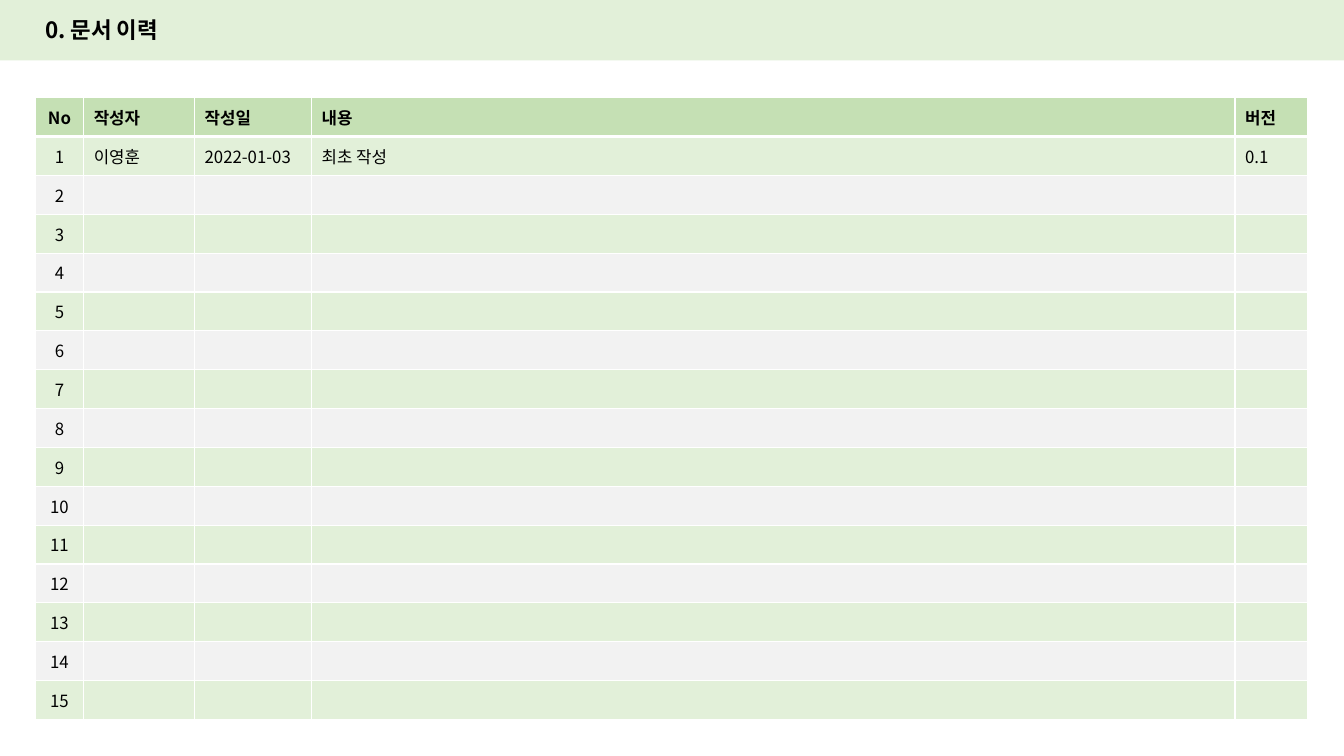
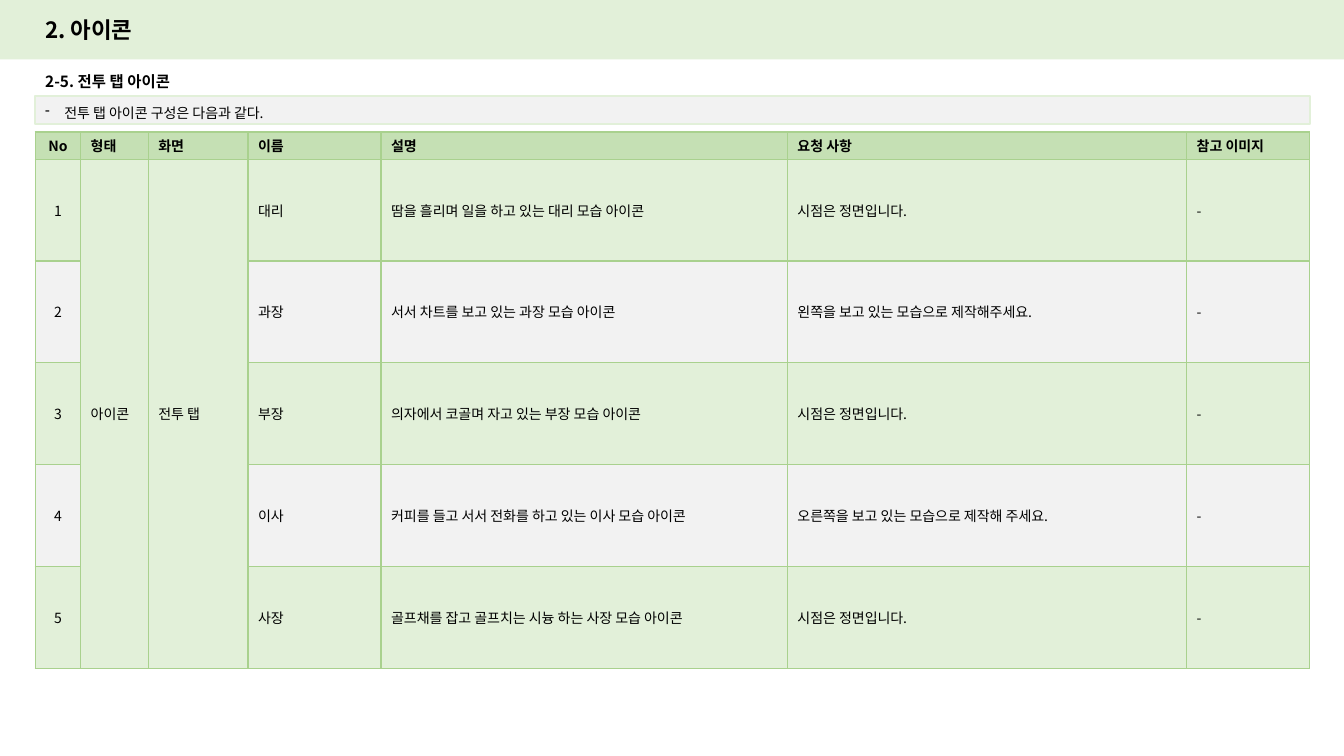
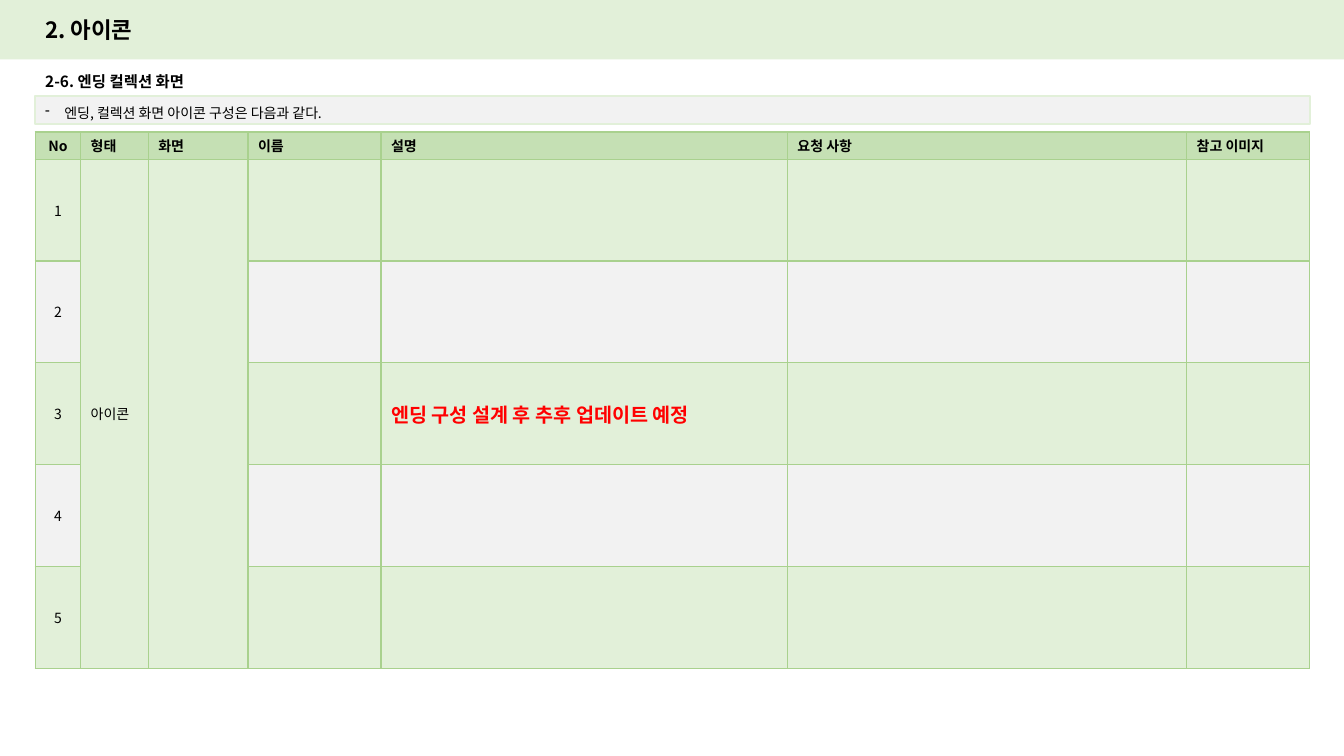
from lxml.etree import SubElement
from pptx import Presentation
from pptx.dml.color import RGBColor
from pptx.enum.shapes import MSO_SHAPE
from pptx.enum.text import MSO_ANCHOR, PP_ALIGN
from pptx.oxml.ns import qn
from pptx.util import Inches, Pt

FONT = "Noto Sans CJK KR"
BLACK, RED, WHITE = "000000", "FF0000", "FFFFFF"
PALE_GREEN, HEADER_GREEN, LINE_GREEN = "E2F0D9", "C5E0B4", "A9D18E"
GRAY = "F2F2F2"
LEFT = 0.35

HISTORY = {
    "title": "0. 문서 이력",
    "header": ["No", "작성자", "작성일", "내용", "버전"],
    "widths": [0.48, 1.1, 1.16, 9.16, 0.72],
    "rows": [["이영훈", "2022-01-03", "최초 작성", "0.1"]] + [[""] * 4] * 14,
}

ICON_HEADER = ["No", "형태", "화면", "이름", "설명", "요청 사항", "참고 이미지"]
ICON_WIDTHS = [0.45, 0.67, 0.99, 1.32, 4.03, 3.96, 1.22]
FRONT_VIEW = "시점은 정면입니다."
PENDING = "엔딩 구성 설계 후 추후 업데이트 예정"
ICON_SECTIONS = [
    {
        "title": "2. 아이콘",
        "subtitle": "2-5. 전투 탭 아이콘",
        "summary": "전투 탭 아이콘 구성은 다음과 같다.",
        "groups": ["아이콘", "전투 탭"],
        "icons": [
            ["대리", "땀을 흘리며 일을 하고 있는 대리 모습 아이콘", FRONT_VIEW, "-"],
            ["과장", "서서 차트를 보고 있는 과장 모습 아이콘",
             "왼쪽을 보고 있는 모습으로 제작해주세요.", "-"],
            ["부장", "의자에서 코골며 자고 있는 부장 모습 아이콘", FRONT_VIEW, "-"],
            ["이사", "커피를 들고 서서 전화를 하고 있는 이사 모습 아이콘",
             "오른쪽을 보고 있는 모습으로 제작해 주세요.", "-"],
            ["사장", "골프채를 잡고 골프치는 시늉 하는 사장 모습 아이콘", FRONT_VIEW, "-"],
        ],
    },
    {
        "title": "2. 아이콘",
        "subtitle": "2-6. 엔딩 컬렉션 화면",
        "summary": "엔딩, 컬렉션 화면 아이콘 구성은 다음과 같다.",
        "groups": ["아이콘", ""],
        "icons": [["", PENDING if number == 3 else "", "", ""] for number in range(1, 6)],
    },
]


def rgb(color):
    return RGBColor.from_string(color)


def add_text(paragraph, text, size, bold=False, color=BLACK):
    """Add one run; an empty text only sets the height of its line."""
    if not text:
        SubElement(paragraph._p, qn("a:endParaRPr"), sz=str(size * 100))
        return
    run = paragraph.add_run()
    run.text = text
    run.font.size = Pt(size)
    run.font.bold = bold
    run.font.name = FONT
    run.font.color.rgb = rgb(color)
    SubElement(run._r.get_or_add_rPr(), qn("a:ea"), typeface=FONT)


def add_box(slide, left, top, width, height, fill, line=None):
    box = slide.shapes.add_shape(MSO_SHAPE.RECTANGLE, Inches(left), Inches(top),
                                 Inches(width), Inches(height))
    box.shadow.inherit = False
    box.fill.solid()
    box.fill.fore_color.rgb = rgb(fill)
    if line:
        box.line.color.rgb = rgb(line)
        box.line.width = Pt(1.5)
    else:
        box.line.fill.background()
    return box


def add_heading(slide, top, height, text, size):
    heading = slide.shapes.add_textbox(Inches(LEFT), Inches(top), Inches(2.11), Inches(height))
    frame = heading.text_frame
    frame.word_wrap = True
    frame.vertical_anchor = MSO_ANCHOR.MIDDLE
    add_text(frame.paragraphs[0], text, size, bold=True)


def add_titled_slide(deck, title, band_height):
    slide = deck.slides.add_slide(deck.slide_layouts[6])
    add_box(slide, 0, 0, 13.33, band_height, PALE_GREEN)
    add_heading(slide, 0.11, 0.37, title, 16)
    return slide


def add_summary(slide, text):
    frame = add_box(slide, LEFT, 0.95, 12.64, 0.28, GRAY, PALE_GREEN).text_frame
    frame.word_wrap = True
    frame.vertical_anchor = MSO_ANCHOR.TOP
    paragraph = frame.paragraphs[0]
    paragraph.alignment = PP_ALIGN.LEFT
    paragraph.line_spacing = 1.2
    properties = paragraph._p.get_or_add_pPr()
    properties.set("marL", str(Inches(0.19)))
    properties.set("indent", str(Inches(-0.19)))
    SubElement(properties, qn("a:buFontTx"))
    SubElement(properties, qn("a:buChar"), char="-")
    add_text(paragraph, text, 10)


def set_borders(cell, color, bottom_width):
    properties = cell._tc.get_or_add_tcPr()
    for position, side in enumerate(("lnL", "lnR", "lnT", "lnB")):
        width = bottom_width if side == "lnB" else 1
        border = properties.makeelement(qn(f"a:{side}"), {"w": str(Pt(width))})
        fill = SubElement(border, qn("a:solidFill"))
        SubElement(fill, qn("a:srgbClr"), val=color)
        properties.insert(position, border)


def add_numbered_table(slide, top, header, rows, widths, heights, size,
                       border, header_rule=1):
    """Add a banded table whose first column counts the rows."""
    lines = [header] + [[str(number), *row] for number, row in enumerate(rows, 1)]
    table = slide.shapes.add_table(len(lines), len(widths), Inches(LEFT), Inches(top),
                                   Inches(sum(widths)), Inches(sum(heights))).table
    for column, width in zip(table.columns, widths):
        column.width = Inches(width)
    for row, height in zip(table.rows, heights):
        row.height = Inches(height)
    for r, line in enumerate(lines):
        band = HEADER_GREEN if r == 0 else (GRAY, PALE_GREEN)[r % 2]
        for c, text in enumerate(line):
            cell = table.cell(r, c)
            cell.vertical_anchor = MSO_ANCHOR.MIDDLE
            cell.margin_top = cell.margin_bottom = Inches(0.03)
            cell.fill.solid()
            cell.fill.fore_color.rgb = rgb(band)
            set_borders(cell, border, header_rule if r == 0 else 1)
            paragraph = cell.text_frame.paragraphs[0]
            if c == 0:
                paragraph.alignment = PP_ALIGN.CENTER
            if text == PENDING:
                add_text(paragraph, text, 14, bold=True, color=RED)
            else:
                add_text(paragraph, text, size, bold=r == 0)
    return table


def add_history_slide(deck):
    slide = add_titled_slide(deck, HISTORY["title"], 0.6)
    rows = HISTORY["rows"]
    line_count = len(rows) + 1
    add_numbered_table(slide, 0.97, HISTORY["header"], rows, HISTORY["widths"],
                       [6.17 / line_count] * line_count, 12, WHITE, header_rule=3)


def add_icon_slide(deck, section):
    slide = add_titled_slide(deck, section["title"], 0.59)
    add_summary(slide, section["summary"])
    add_heading(slide, 0.66, 0.29, section["subtitle"], 11)
    groups, icons = section["groups"], section["icons"]
    rows = [(groups if i == 0 else [""] * len(groups)) + icon for i, icon in enumerate(icons)]
    table = add_numbered_table(slide, 1.31, ICON_HEADER, rows, ICON_WIDTHS,
                               [0.27] + [1.01] * len(icons), 10, LINE_GREEN)
    for c in range(1, len(groups) + 1):
        table.cell(1, c).merge(table.cell(len(icons), c))


def main():
    deck = Presentation()
    deck.slide_width, deck.slide_height = Inches(13.33), Inches(7.5)
    add_history_slide(deck)
    for section in ICON_SECTIONS:
        add_icon_slide(deck, section)
    deck.save("out.pptx")


if __name__ == "__main__":
    main()
